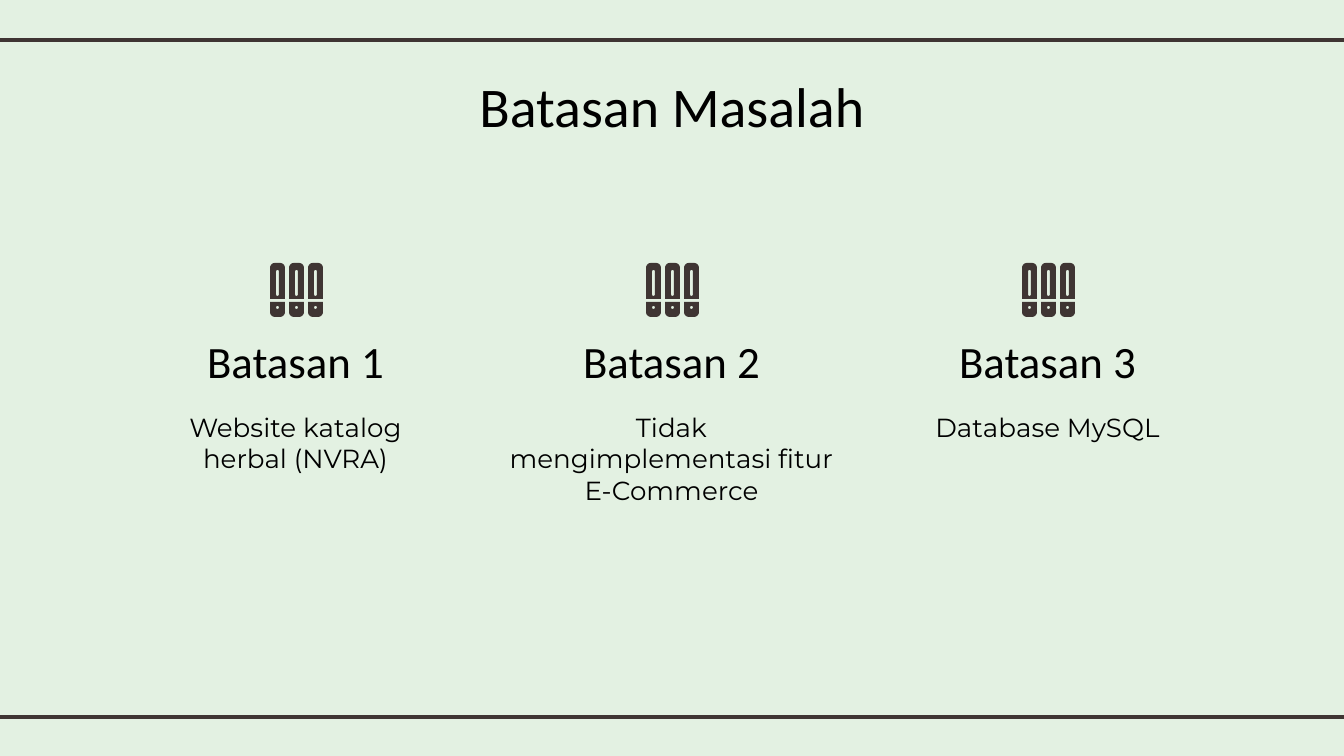
import collections
import math

import pptx
import pptx.dml.color
import pptx.enum.shapes
import pptx.enum.text
import pptx.oxml.ns
import pptx.util
from lxml import etree

PX = 9144000 / 1344
SUBPIXEL = 100

Box = collections.namedtuple("Box", "left top width height")
Theme = collections.namedtuple(
    "Theme", "background ink text heading_font body_font title_size heading_size body_size rule_width"
)

THEME = Theme(
    background=pptx.dml.color.RGBColor.from_string("E3F1E2"),
    ink=pptx.dml.color.RGBColor.from_string("3F3533"),
    text=pptx.dml.color.RGBColor.from_string("000000"),
    heading_font="Calibri",
    body_font="Montserrat",
    title_size=30,
    heading_size=24,
    body_size=14,
    rule_width=2.25,
)

LIMITS = [
    ("Batasan 1", ["Website katalog", "herbal (NVRA)"]),
    ("Batasan 2", ["Tidak mengimplementasi fitur E-Commerce"]),
    ("Batasan 3", ["Database MySQL"]),
]


def px(length):
    return pptx.util.Emu(round(length * PX))


def add_text(slide, box, lines, font_name, size):
    frame = slide.shapes.add_textbox(*map(px, box)).text_frame
    frame.word_wrap = True
    frame.vertical_anchor = pptx.enum.text.MSO_ANCHOR.TOP
    frame.margin_left = frame.margin_right = pptx.util.Inches(0.1)
    frame.margin_top = frame.margin_bottom = pptx.util.Inches(0.1)
    for index, line in enumerate(lines):
        paragraph = frame.add_paragraph() if index else frame.paragraphs[0]
        paragraph.alignment = pptx.enum.text.PP_ALIGN.CENTER
        run = paragraph.add_run()
        run.text = line
        run.font.name = font_name
        run.font.size = pptx.util.Pt(size)
        run.font.color.rgb = THEME.text


def add_rule(slide, box):
    rule = slide.shapes.add_connector(
        pptx.enum.shapes.MSO_CONNECTOR.STRAIGHT,
        px(box.left), px(box.top), px(box.left + box.width), px(box.top + box.height),
    )
    rule.line.color.rgb = THEME.ink
    rule.line.width = pptx.util.Pt(THEME.rule_width)
    etree.SubElement(rule.element.spPr, pptx.oxml.ns.qn("a:effectLst"))


def rounded_outline(box, top_radius, bottom_radius):
    right, bottom = box.left + box.width, box.top + box.height
    corners = [
        (box.left + top_radius, box.top + top_radius, top_radius, 180),
        (right - top_radius, box.top + top_radius, top_radius, 270),
        (right - bottom_radius, bottom - bottom_radius, bottom_radius, 0),
        (box.left + bottom_radius, bottom - bottom_radius, bottom_radius, 90),
    ]
    points = []
    for x, y, radius, start in corners:
        for step in range(0, 91 if radius else 1, 15):
            angle = math.radians(start + step)
            points.append((
                (x + radius * math.cos(angle)) * SUBPIXEL,
                (y + radius * math.sin(angle)) * SUBPIXEL,
            ))
    return points


def add_pierced_shape(shapes, outline, hole):
    builder = shapes.build_freeform(*outline[0], scale=PX / SUBPIXEL)
    builder.add_line_segments(outline[1:], close=True)
    inner = hole[::-1]
    builder.move_to(*inner[0])
    builder.add_line_segments(inner[1:], close=True)
    shape = builder.convert_to_shape()
    shape.shadow.inherit = False
    shape.fill.solid()
    shape.fill.fore_color.rgb = THEME.ink
    shape.line.fill.background()


def add_binders_icon(slide, box):
    icon = slide.shapes.add_group_shape()
    binder_width, pitch = 15, 19
    for index in range(3):
        left = box.left + index * pitch
        label = Box(left, box.top + 39, binder_width, box.height - 39)
        cover = Box(left, box.top, binder_width, 36)
        ring = Box(left + 6, box.top + 43, 3, 3)
        slot = Box(left + 6, box.top + 7, 3, 26)
        add_pierced_shape(icon.shapes, rounded_outline(label, 0, 5), rounded_outline(ring, 1.5, 1.5))
        add_pierced_shape(icon.shapes, rounded_outline(cover, 5, 0), rounded_outline(slot, 1.5, 1.5))


def add_limit(slide, box, heading, lines):
    add_text(slide, Box(box.left, box.top + 57, box.width, 74), [heading],
             THEME.heading_font, THEME.heading_size)
    add_text(slide, Box(box.left, box.top + 135, box.width, 84), lines,
             THEME.body_font, THEME.body_size)
    add_binders_icon(slide, Box(box.left + 154, box.top, 53, 54))


def add_limits_slide(presentation, box):
    slide = presentation.slides.add_slide(presentation.slide_layouts[6])
    slide.background.fill.solid()
    slide.background.fill.fore_color.rgb = THEME.background
    for top in (40, 717):
        add_rule(slide, Box(box.left - 11, box.top + top, box.width + 22, 0))
    add_text(slide, Box(box.left + 446, box.top + 58, 452, 85), ["Batasan Masalah"],
             THEME.heading_font, THEME.title_size)
    column_width, pitch = 359, 376
    first_left = box.left + (box.width - column_width - 2 * pitch) // 2
    for index, (heading, lines) in enumerate(LIMITS):
        column = Box(first_left + index * pitch, box.top + 263, column_width, 219)
        add_limit(slide, column, heading, lines)


def main():
    presentation = pptx.Presentation()
    presentation.slide_width, presentation.slide_height = px(1344), px(756)
    add_limits_slide(presentation, Box(0, 0, 1344, 756))
    presentation.save("out.pptx")


if __name__ == "__main__":
    main()
